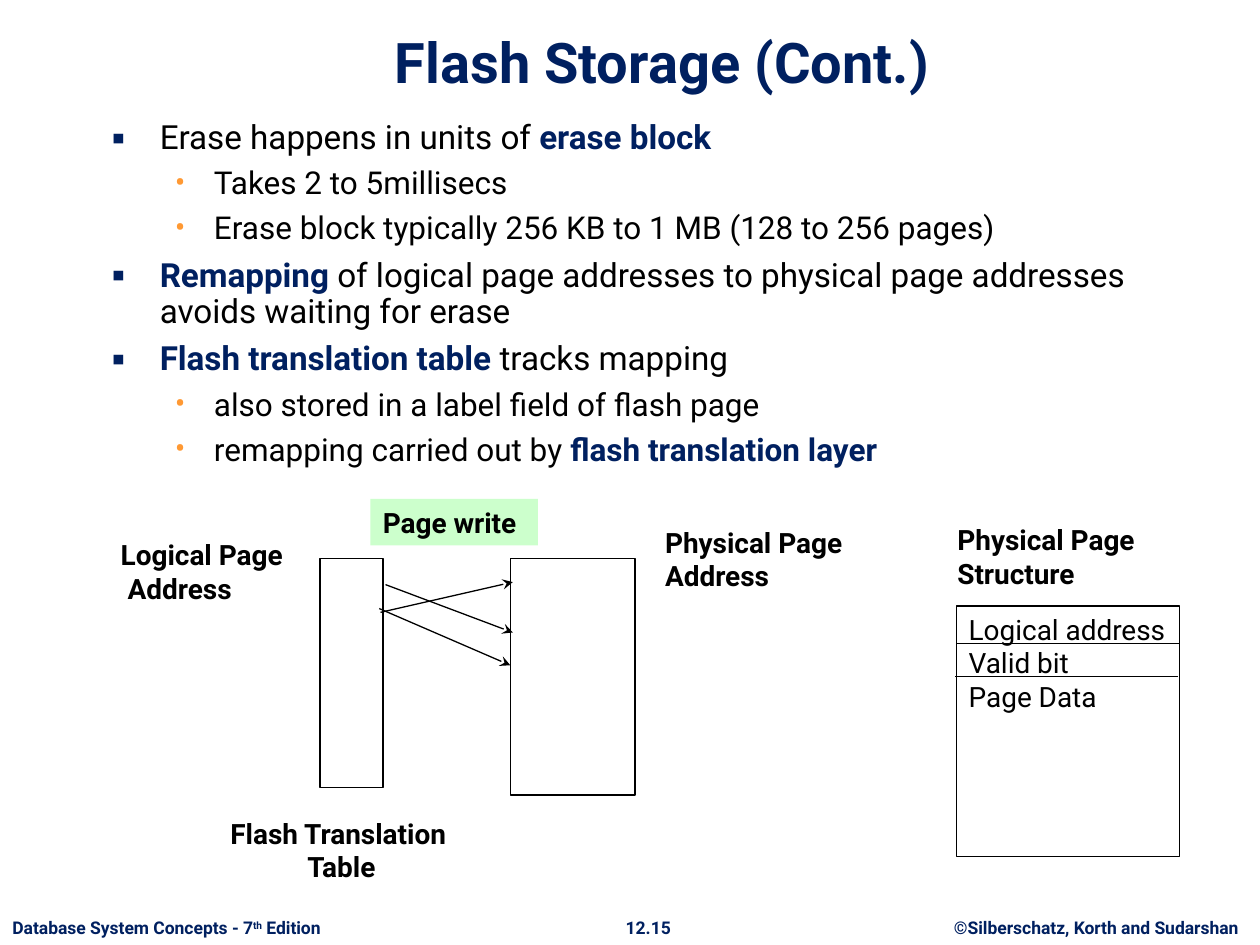
from lxml.etree import SubElement
from pptx import Presentation
from pptx.dml.color import RGBColor
from pptx.enum.shapes import MSO_CONNECTOR, MSO_SHAPE
from pptx.enum.text import MSO_ANCHOR, PP_ALIGN
from pptx.oxml.ns import qn
from pptx.util import Inches, Pt

COLORS = {
    "navy": "002060",
    "black": "000000",
    "white": "FFFFFF",
    "orange": "FF9933",
    "green": "CCFFCC",
}
FONT = "Roboto"
LEVELS = [
    {"size": 19, "indent": 0.38, "hang": 0.38, "before": 6.7, "mark": "▪", "color": "navy"},
    {"size": 18, "indent": 0.81, "hang": 0.31, "before": 6.3, "mark": "•", "color": "orange"},
]
POINTS = [
    (0, [("Erase happens in units of ", False), ("erase block", True)]),
    (1, [("Takes 2 to 5millisecs", False)]),
    (1, [("Erase block typically 256 KB to 1 MB (128 to 256 pages)", False)]),
    (0, [("Remapping", True),
         (" of logical page addresses to physical page addresses avoids waiting for erase", False)]),
    (0, [("Flash translation table ", True), ("tracks mapping", False)]),
    (1, [("also stored in a label field of flash page", False)]),
    (1, [("remapping carried out by ", False), ("flash translation layer", True)]),
]


def rgb(name):
    return RGBColor.from_string(COLORS[name])


def style_run(run, size, color="black", bold=False):
    run.font.name = FONT
    run.font.size = Pt(size)
    run.font.bold = bold
    run.font.color.rgb = rgb(color)


def fill_text(frame, text, size, color="black", bold=False, align=PP_ALIGN.LEFT):
    frame.text = text
    for paragraph in frame.paragraphs:
        paragraph.alignment = align
        for run in paragraph.runs:
            style_run(run, size, color, bold)


def add_label(slide, left, top, width, height, text, size=16, color="black",
              align=PP_ALIGN.LEFT, wrap=False):
    label = slide.shapes.add_textbox(Inches(left), Inches(top), Inches(width), Inches(height))
    label.text_frame.word_wrap = wrap
    fill_text(label.text_frame, text, size, color, True, align)
    return label


def add_box(slide, left, top, width, height, fill="white", outlined=True):
    box = slide.shapes.add_shape(
        MSO_SHAPE.RECTANGLE, Inches(left), Inches(top), Inches(width), Inches(height))
    box.shadow.inherit = False
    if fill:
        box.fill.solid()
        box.fill.fore_color.rgb = rgb(fill)
    else:
        box.fill.background()
    if outlined:
        box.line.color.rgb = rgb("black")
        box.line.width = Pt(0.75)
    else:
        box.line.fill.background()
    box.text_frame.vertical_anchor = MSO_ANCHOR.TOP
    return box


def add_line(slide, x1, y1, x2, y2, arrow=False):
    line = slide.shapes.add_connector(
        MSO_CONNECTOR.STRAIGHT, Inches(x1), Inches(y1), Inches(x2), Inches(y2))
    line.line.color.rgb = rgb("black")
    line.line.width = Pt(0.75)
    if arrow:
        SubElement(line.line._get_or_add_ln(), qn("a:tailEnd"), type="stealth")
    SubElement(line._element.spPr, qn("a:effectLst"))


def add_title(slide, left, top, width, height):
    title = add_label(slide, left, top, width, height, "Flash Storage (Cont.)", 32, "navy",
                      PP_ALIGN.CENTER, True)
    title.text_frame.vertical_anchor = MSO_ANCHOR.BOTTOM


def set_bullet(paragraph, level):
    properties = paragraph._p.get_or_add_pPr()
    properties.set("marL", str(Inches(level["indent"])))
    properties.set("indent", str(-Inches(level["hang"])))
    bullet_color = SubElement(properties, qn("a:buClr"))
    SubElement(bullet_color, qn("a:srgbClr"), val=COLORS[level["color"]])
    SubElement(properties, qn("a:buFont"), typeface=FONT)
    SubElement(properties, qn("a:buChar"), char=level["mark"])


def add_points(slide, left, top, width, height):
    body = slide.shapes.add_textbox(Inches(left), Inches(top), Inches(width), Inches(height))
    frame = body.text_frame
    frame.word_wrap = True
    for number, (depth, pieces) in enumerate(POINTS):
        level = LEVELS[depth]
        paragraph = frame.add_paragraph() if number else frame.paragraphs[0]
        paragraph.level = depth
        paragraph.line_spacing = 0.9
        paragraph.space_before = Pt(level["before"] if number else 0)
        set_bullet(paragraph, level)
        for text, is_term in pieces:
            run = paragraph.add_run()
            run.text = text
            style_run(run, level["size"], "navy" if is_term else "black", is_term)


def add_mapping(slide, left, top):
    add_box(slide, left + 1.68, top + 0.47, 0.5, 1.82)
    add_box(slide, left + 3.19, top + 0.47, 0.99, 1.88)
    add_label(slide, left, top + 0.26, 1.59, 0.64, "Logical Page\n Address")
    add_label(slide, left + 4.32, top + 0.16, 1.71, 0.64, "Physical Page\nAddress")
    add_label(slide, left + 0.8, top + 2.47, 2.05, 0.64, "Flash Translation\v Table",
              align=PP_ALIGN.CENTER)
    for x1, y1, x2, y2 in [(2.2, 0.68, 3.21, 1.06), (2.16, 0.9, 3.21, 0.66),
                           (2.15, 0.87, 3.19, 1.32)]:
        add_line(slide, left + x1, top + y1, left + x2, top + y2, arrow=True)
    page_write = add_box(slide, left + 2.08, top, 1.33, 0.37, "green", outlined=False)
    page_write.text_frame.word_wrap = False
    fill_text(page_write.text_frame, "Page write", 16, bold=True)


def add_page_structure(slide, left, top, width, height):
    add_label(slide, left - 0.09, top - 0.71, 1.71, 0.64, "Physical Page\nStructure")
    page = add_box(slide, left, top, width, height, fill=None)
    page.text_frame.word_wrap = False
    fill_text(page.text_frame, "Logical address\nValid bit\nPage Data", 16)
    for shift, drop in [(0, 0.3), (-0.01, 0.56)]:
        add_line(slide, left + shift, top + drop, left + shift + width, top + drop)


def add_footer(slide, left, top, width, height):
    edition = add_label(slide, left, top, 2.81, height, "Database System Concepts - 7", 10, "navy")
    for text, baseline in [("th", "30000"), (" Edition", "0")]:
        run = edition.text_frame.paragraphs[0].add_run()
        run.text = text
        style_run(run, 10, "navy", True)
        run.font._element.set("baseline", baseline)
    add_label(slide, left + 4.86, top, 0.57, height, "12.15", 10, "navy", PP_ALIGN.CENTER)
    add_label(slide, left + width - 2.6, top, 2.6, height,
              "©Silberschatz, Korth and Sudarshan", 10, "navy", PP_ALIGN.CENTER)


def main():
    presentation = Presentation()
    presentation.slide_width = Inches(10)
    presentation.slide_height = Inches(7.5)
    slide = presentation.slides.add_slide(presentation.slide_layouts[6])
    add_footer(slide, 0, 7.23, 10, 0.27)
    add_title(slide, 0.84, 0.13, 8.83, 0.67)
    add_points(slide, 0.79, 0.91, 8.66, 5.73)
    add_mapping(slide, 0.86, 3.96)
    add_page_structure(slide, 7.59, 4.81, 1.77, 1.99)
    presentation.save("out.pptx")


if __name__ == "__main__":
    main()
